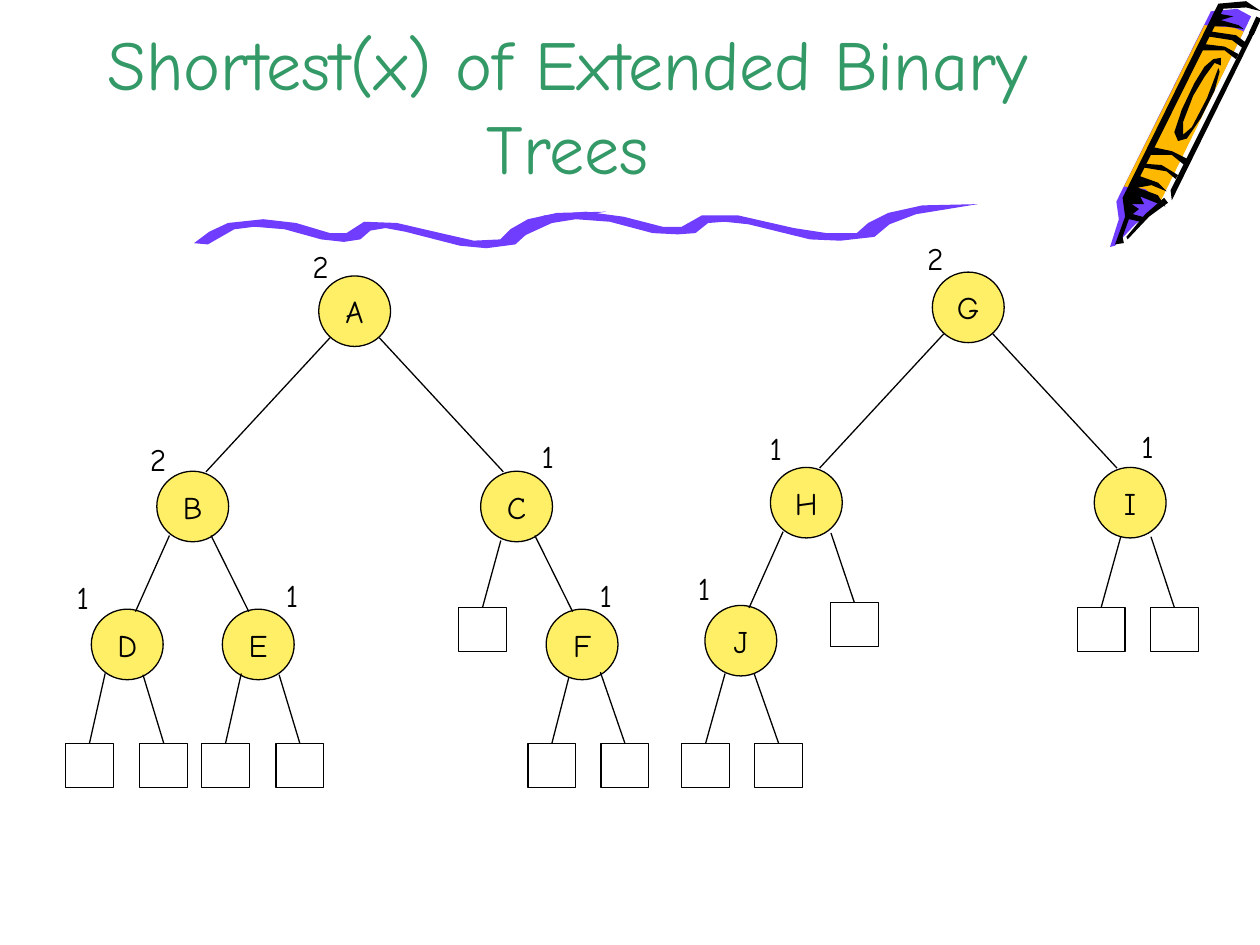
import pptx
import pptx.util
import pptx.dml.color
import pptx.enum.shapes
import pptx.enum.text
import pptx.oxml

# All places and sizes count in steps of 0.0254 cm.
STEP = 0.0254
THEME = {
    "font": "Comic Neue", "head": 40, "body": 18, "thin": 0.75, "thick": 3,
    "green": "339966", "black": "000000", "node": "FFEF66",
    "violet": "703DFF", "orange": "FFB800",
}
TITLE = "Shortest(x) of Extended Binary Trees"
TITLE_BOX = (75, 0, 751, 155)
NODE, LEAF, TAG = (57, 56), (38, 35), (35, 40)

# Name: centre of the root.
ROOTS = {"A": (281.5, 247), "G": (768.5, 244)}
# Parent, child, side (-1 left, 1 right), level of the parent.
EDGES = [
    ("A", "B", -1, 0), ("A", "C", 1, 0), ("B", "D", -1, 1), ("B", "E", 1, 1),
    ("C", "F", 1, 1), ("G", "H", -1, 0), ("G", "I", 1, 0), ("H", "J", -1, 1),
]
# Per level: offset of a child from its parent.
SPREAD = [(128.5, 155), (52, 109.5)]
# Per level and side: edge start from the parent, edge end from the child.
JOINTS = {
    (0, -1): ((-19.5, 21), (10.5, -27.5)), (0, 1): ((19.5, 21), (-10.5, -27.5)),
    (1, -1): ((-18.5, 23), (6.5, -26)), (1, 1): ((14.5, 23), (-7.5, -26)),
}
# Name: shortest value, left and top of its label.
TAGS = {
    "A": ("2", 238, 191), "B": ("2", 109, 344), "C": ("1", 420, 342),
    "D": ("1", 51, 454), "E": ("1", 217, 452), "F": ("1", 466, 452),
    "G": ("2", 726, 185), "H": ("1", 601, 336), "I": ("1", 896, 334),
    "J": ("1", 544, 447),
}
# Parent, left and top of the leaf, edge start from the parent.
LEAVES = [
    ("D", 52, 590, -17.5, 23), ("D", 111, 590, 12.5, 24),
    ("E", 160, 590, -13.5, 23), ("E", 219, 590, 16.5, 24),
    ("C", 364, 482, -12.5, 27),
    ("F", 419, 590, -10.5, 26), ("F", 477, 590, 14.5, 22),
    ("J", 541, 590, -12.5, 26), ("J", 599, 590, 10.5, 26),
    ("H", 659, 478, 19.5, 24),
    ("I", 855, 482, -7.5, 27), ("I", 913, 482, 16.5, 27),
]
CRAYON = [
    ("violet", [(993, 13), (917, 166), (901, 178), (885, 195), (881, 196),
                (888, 174), (886, 160), (961, 9), (982, 7)]),
    ("orange", [(921, 160), (909, 150), (892, 148), (956, 20), (979, 22),
                (987, 25)]),
    ("black", [(927, 161), (912, 172), (895, 190), (894, 188), (909, 170),
               (924, 157)]),
    ("black", [(987, 23), (973, 21), (961, 21), (968, 11), (979, 13),
               (969, 16), (983, 20)]),
    ("black", [(968, 57), (964, 72), (953, 94), (942, 110), (935, 112),
               (932, 105), (938, 87), (948, 66), (956, 53), (963, 47),
               (969, 46), (969, 52), (964, 50), (956, 61), (947, 76),
               (939, 97), (939, 107), (946, 101), (958, 78), (967, 54)]),
    ("black", [(997, 23), (930, 159), (929, 151), (993, 23)]),
    ("black", [(925, 164), (919, 155), (903, 149), (914, 147), (926, 152),
               (919, 145), (905, 140), (971, 7), (989, 6), (1001, 9),
               (989, 1), (967, 3), (891, 157), (893, 172), (885, 194),
               (892, 193), (891, 188), (896, 174), (905, 176), (910, 173),
               (899, 170), (904, 166), (898, 162), (908, 162), (905, 156)]),
    ("black", [(933, 142), (926, 136), (908, 133), (909, 130), (922, 131),
               (935, 139)]),
    ("black", [(940, 131), (930, 123), (913, 123), (916, 117), (930, 120),
               (942, 126)]),
    ("black", [(981, 47), (972, 40), (953, 40), (956, 35), (972, 37),
               (983, 43)]),
    ("black", [(986, 38), (978, 32), (959, 29), (961, 25), (981, 28),
               (989, 34)]),
]
WAVES = [
    ("violet", [(165, 194), (186, 182), (202, 180), (226, 182), (255, 190),
                (273, 192), (286, 190), (294, 183), (306, 181), (322, 184),
                (365, 195), (386, 197), (409, 194), (420, 184), (438, 175),
                (481, 168), (442, 169), (419, 174), (405, 182), (397, 190),
                (376, 191), (354, 186), (315, 177), (289, 176), (275, 185),
                (262, 185), (235, 177), (209, 174), (181, 177), (166, 184),
                (154, 193)]),
    ("violet", [(414, 188), (438, 177), (457, 174), (484, 176), (518, 185),
                (538, 186), (552, 185), (562, 177), (575, 176), (594, 178),
                (643, 190), (667, 191), (694, 188), (706, 178), (727, 170),
                (776, 162), (732, 163), (705, 169), (689, 177), (680, 185),
                (656, 185), (630, 181), (586, 171), (557, 171), (541, 180),
                (526, 180), (495, 172), (465, 168), (432, 171), (415, 178),
                (401, 188)]),
]


def place(*nums):
    return [pptx.util.Cm(STEP * n) for n in nums]


def tint(key):
    return pptx.dml.color.RGBColor.from_string(THEME[key])


def paint(shape, fill=None, line=None):
    shape.shadow.inherit = False
    for part, key in ((shape.fill, fill), (shape.line.fill, line)):
        if key:
            part.solid()
            part.fore_color.rgb = tint(key)
        else:
            part.background()
    if line:
        shape.line.width = pptx.util.Pt(THEME["thin"])


def write(shape, text, size="body", color="black", align="CENTER",
          anchor="MIDDLE", wrap=False):
    frame = shape.text_frame
    frame.text = text
    form = {"auto_size": pptx.enum.text.MSO_AUTO_SIZE.NONE, "word_wrap": wrap,
            "vertical_anchor": getattr(pptx.enum.text.MSO_ANCHOR, anchor)}
    for key, val in form.items():
        setattr(frame, key, val)
    para = frame.paragraphs[0]
    para.alignment = getattr(pptx.enum.text.PP_ALIGN, align)
    font = para.runs[0].font
    form = {"name": THEME["font"], "size": pptx.util.Pt(THEME[size])}
    for key, val in form.items():
        setattr(font, key, val)
    font.color.rgb = tint(color)


def link(shapes, start, end, width="thin"):
    line = shapes.add_connector(pptx.enum.shapes.MSO_CONNECTOR.STRAIGHT,
                                *place(*start, *end))
    line.line.color.rgb = tint("black")
    line.line.width = pptx.util.Pt(THEME[width])
    line._element.spPr.append(pptx.oxml.parse_xml(
        '<a:effectLst xmlns:a='
        '"http://schemas.openxmlformats.org/drawingml/2006/main"/>'))
    return line


def shift(spot, move):
    return spot[0] + move[0], spot[1] + move[1]


def main():
    deck = pptx.Presentation()
    deck.slide_width, deck.slide_height = place(1000, 750)
    slide = deck.slides.add_slide(deck.slide_layouts[5])
    shapes = slide.shapes
    kinds = pptx.enum.shapes.MSO_SHAPE

    for color, dots in CRAYON + WAVES:
        pen = shapes.build_freeform(*dots[0], scale=place(1)[0])
        pen.add_line_segments(dots[1:], close=True)
        paint(pen.convert_to_shape(), color)
    link(shapes, (999, 14), (993, 27), "thick")

    head = shapes.title
    for key, val in zip(("left", "top", "width", "height"), place(*TITLE_BOX)):
        setattr(head, key, val)
    write(head, TITLE, "head", "green", anchor="BOTTOM", wrap=True)

    spots = dict(ROOTS)
    for up, down, side, level in EDGES:
        wide, deep = SPREAD[level]
        spots[down] = shift(spots[up], (side * wide, deep))
    for name, (x, y) in spots.items():
        node = shapes.add_shape(kinds.OVAL, *place(
            x - NODE[0] / 2, y - NODE[1] / 2, *NODE))
        paint(node, "node", "black")
        write(node, name)
        value, left, top = TAGS[name]
        tag = shapes.add_textbox(*place(left, top, *TAG))
        write(tag, value, align="LEFT", anchor="TOP", wrap=True)

    for up, down, side, level in EDGES:
        start, end = JOINTS[level, side]
        link(shapes, shift(spots[up], start), shift(spots[down], end))
    for up, left, top, *move in LEAVES:
        leaf = shapes.add_shape(kinds.RECTANGLE, *place(left, top, *LEAF))
        paint(leaf, line="black")
        line = link(shapes, shift(spots[up], move), (left + LEAF[0] / 2, top))
        line.end_connect(leaf, 0)

    deck.save("out.pptx")


if __name__ == "__main__":
    main()
